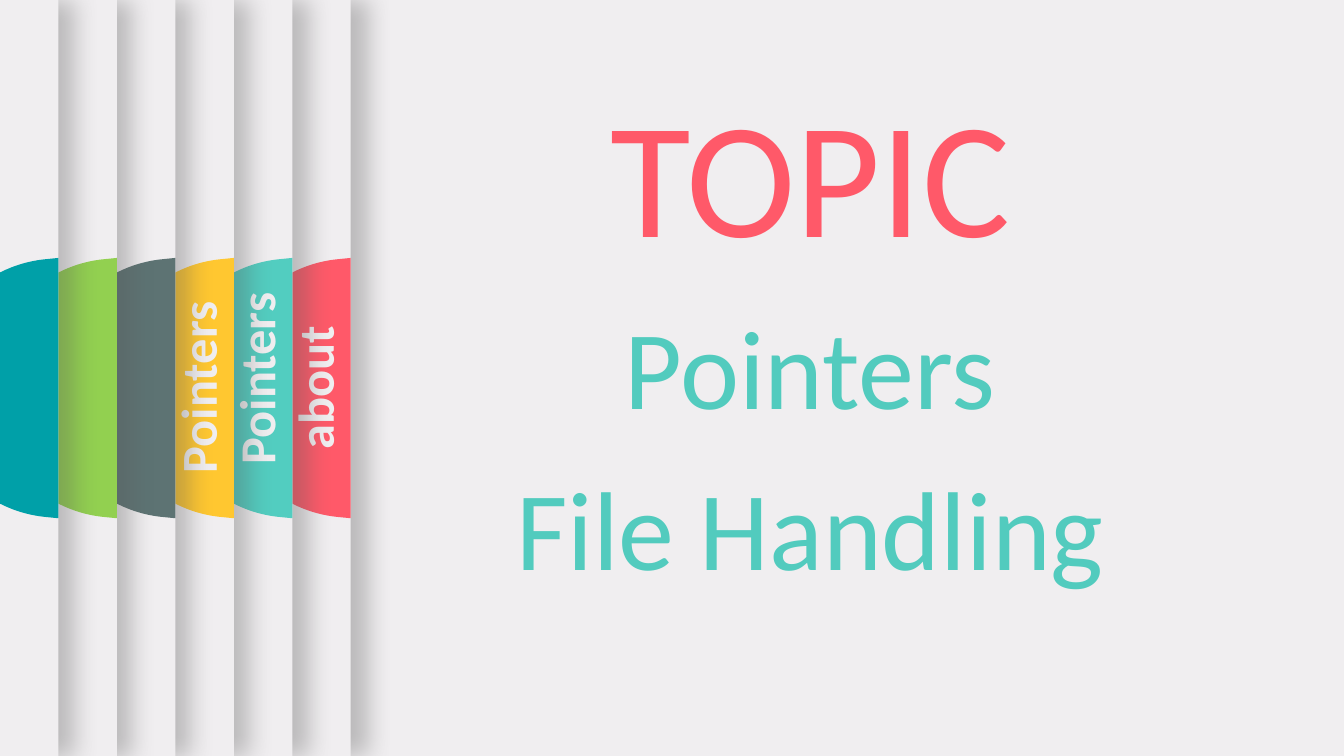
from dataclasses import dataclass

from lxml.etree import SubElement
from pptx import Presentation
from pptx.dml.color import RGBColor
from pptx.enum.shapes import MSO_SHAPE as Preset
from pptx.enum.text import MSO_ANCHOR as Anchor, MSO_AUTO_SIZE as AutoSize, PP_ALIGN as Align
from pptx.oxml.ns import qn
from pptx.shapes.autoshape import Shape
from pptx.shapes.shapetree import GroupShapes
from pptx.slide import Slide
from pptx.util import Cm, Pt


@dataclass(frozen=True)
class Theme:
    font: str = "Calibri"
    paper: str = "F0EEF0"
    shadow: str = "595959"
    title: str = "FF5969"
    topic: str = "52CBBE"
    title_size: int = 118
    topic_size: int = 80
    label_size: int = 36


@dataclass(frozen=True)
class Panel:
    left: float
    color: str
    label: str = ""
    label_top: float = 8.86


@dataclass(frozen=True)
class Topic:
    text: str
    top: float


THEME = Theme()
PAGE_WIDTH, PAGE_HEIGHT = 33.87, 19.05
TEXT_LEFT, TEXT_WIDTH = 10.31, 20.22
PANEL_STEP = 8.84 / 6
TAB_WIDTH, TAB_HALF, TAB_MIDDLE = 3.25, 3.28, 9.78
SHOULDER = (-0.3, 3.25)
CURVE = [(-1.96, 3.1), (-TAB_WIDTH, 1.7)]
LABEL_WIDTH, LABEL_HEIGHT, LABEL_INSET = 5.54, 1.8, 0.92

PANELS = [
    Panel(-25.83, "FF5969", "about"),
    Panel(-24.43, "52CDC0", "Pointers", 8.64),
    Panel(-21.79, "FFC730", "Pointers"),
    Panel(-22.17, "5D7373"),
    Panel(-21.21, "92D050"),
    Panel(-26.09, "00A0A8"),
]
FIRST_TOPIC = Topic("Pointers", 7.37)
SECOND_TOPIC = Topic("File Handling", 11.43)


def place(box: Shape, left: float, top: float, width: float, height: float) -> None:
    box.left, box.top, box.width, box.height = Cm(left), Cm(top), Cm(width), Cm(height)


def write(box: Shape, text: str, *, size: int, color: str, bold: bool = False) -> None:
    frame = box.text_frame
    frame.word_wrap = True
    frame.auto_size = AutoSize.SHAPE_TO_FIT_TEXT
    frame.vertical_anchor = Anchor.TOP
    para = frame.paragraphs[0]
    para.alignment = Align.CENTER
    span = para.add_run()
    span.text = text
    span.font.name = THEME.font
    span.font.size = Pt(size)
    span.font.bold = bold
    span.font.color.rgb = RGBColor.from_string(color)


def paint(shape: Shape, color: str) -> None:
    shape.shadow.inherit = False
    shape.fill.solid()
    shape.fill.fore_color.rgb = RGBColor.from_string(color)
    shape.line.fill.background()


def cast_shadow(shape: Shape) -> None:
    """Add a soft shadow to the right of a painted shape."""
    effects = shape.element.spPr.find(qn("a:effectLst"))
    shadow = SubElement(effects, qn("a:outerShdw"), blurRad=str(Pt(17)), dist=str(Pt(3)),
                        dir="0", sx="101000", algn="l", rotWithShape="0")
    color = SubElement(shadow, qn("a:srgbClr"), val=THEME.shadow)
    SubElement(color, qn("a:alpha"), val="35000")


def bend(segment, controls: list[tuple[float, float]]) -> None:
    """Turn a straight segment of a tab into a curve with two control points."""
    segment.tag = qn("a:cubicBezTo")
    for index, (x, y) in enumerate(controls):
        point = SubElement(segment, qn("a:pt"), x=str(Cm(x + TAB_WIDTH)), y=str(Cm(y + TAB_HALF)))
        segment.insert(index, point)


def add_tab(shapes: GroupShapes, edge: float, color: str) -> None:
    """Draw a half disc whose flat side lies on the panel's right edge."""
    x, y = SHOULDER
    corners = [(0, -TAB_HALF), (0, TAB_HALF), (x, y), (-TAB_WIDTH, 0), (x, -y)]
    points = [(Cm(edge + dx), Cm(TAB_MIDDLE + dy)) for dx, dy in corners]
    builder = shapes.build_freeform(*points[0])
    builder.add_line_segments(points[1:], close=True)
    tab = builder.convert_to_shape()
    lower, upper = list(tab.element.iter(qn("a:lnTo")))[2:4]
    bend(lower, CURVE)
    bend(upper, [(dx, -dy) for dx, dy in reversed(CURVE)])
    paint(tab, color)


def add_panel(page: Slide, panel: Panel, edge: float) -> None:
    shapes = page.shapes.add_group_shape().shapes
    sheet = shapes.add_shape(Preset.RECTANGLE, Cm(panel.left), 0,
                             Cm(edge - panel.left), Cm(PAGE_HEIGHT))
    paint(sheet, THEME.paper)
    cast_shadow(sheet)
    add_tab(shapes, edge, panel.color)
    if panel.label:
        box = shapes.add_textbox(0, 0, 0, 0)
        place(box, edge - LABEL_INSET - LABEL_WIDTH / 2, panel.label_top,
              LABEL_WIDTH, LABEL_HEIGHT)
        box.rotation = 270
        write(box, panel.label, size=THEME.label_size, color=THEME.paper, bold=True)


def add_topic(page: Slide, topic: Topic) -> None:
    box = page.shapes.add_textbox(0, 0, 0, 0)
    place(box, TEXT_LEFT, topic.top, TEXT_WIDTH, 3.68)
    write(box, topic.text, size=THEME.topic_size, color=THEME.topic)


def main() -> None:
    deck = Presentation()
    deck.slide_width, deck.slide_height = Cm(PAGE_WIDTH), Cm(PAGE_HEIGHT)
    page = deck.slides.add_slide(deck.slide_layouts.get_by_name("Title Only"))
    page.background.fill.solid()
    page.background.fill.fore_color.rgb = RGBColor.from_string(THEME.paper)

    title = page.shapes.title
    place(title, TEXT_LEFT, 1.7, TEXT_WIDTH, 5.31)
    write(title, "TOPIC", size=THEME.title_size, color=THEME.title)
    add_topic(page, FIRST_TOPIC)
    for index, panel in enumerate(PANELS):
        add_panel(page, panel, PANEL_STEP * (len(PANELS) - index))
    add_topic(page, SECOND_TOPIC)

    deck.save("out.pptx")


if __name__ == "__main__":
    main()
